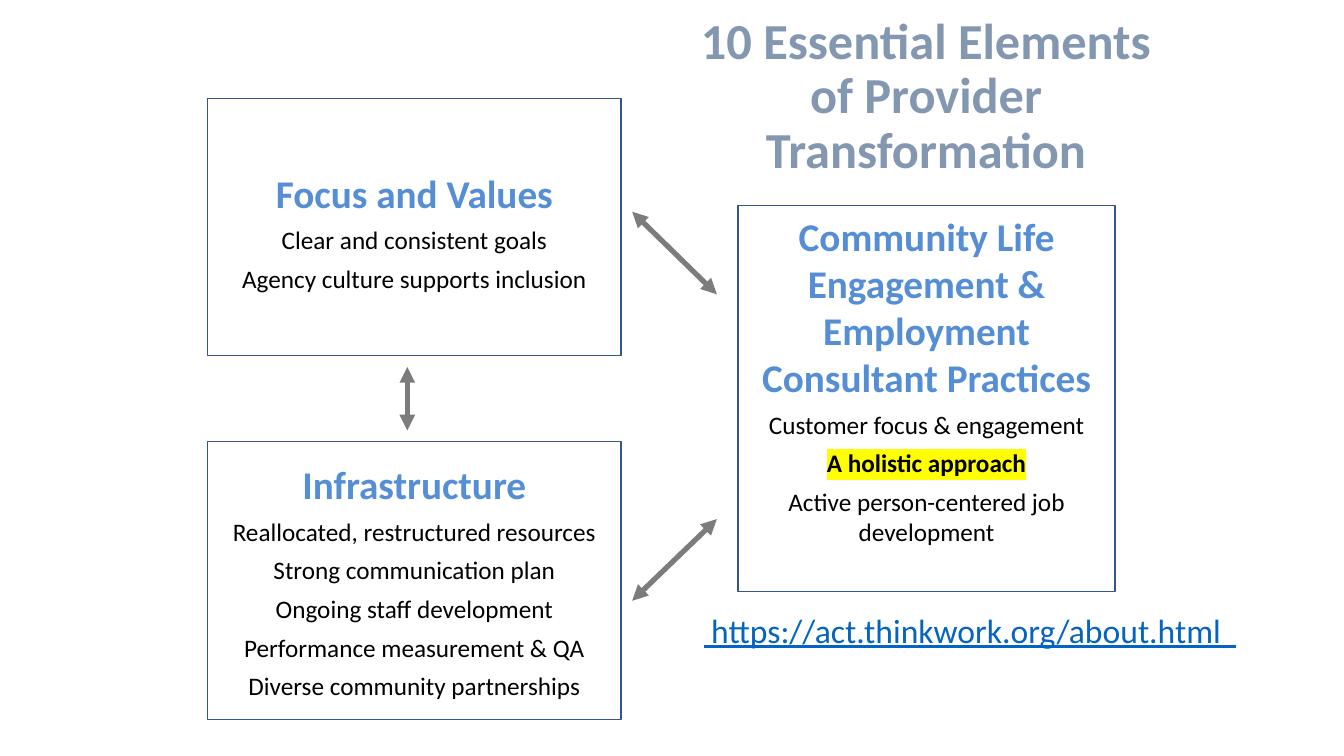
from lxml.etree import SubElement
from pptx import Presentation
from pptx.dml.color import RGBColor
from pptx.enum.shapes import MSO_CONNECTOR, MSO_SHAPE
from pptx.enum.text import MSO_ANCHOR, MSO_AUTO_SIZE, PP_ALIGN
from pptx.oxml import parse_xml
from pptx.oxml.ns import nsdecls, qn
from pptx.util import Inches, Pt

# Content
TITLE = "10 Essential Elements\vof Provider Transformation"
LINK = " https://act.thinkwork.org/about.html  "
HIGHLIGHTED = "A holistic approach"
BOXES = [
    {"at": (2.06, 0.98, 4.1, 2.55), "before": 6, "after": 0, "insets": (0.13, 0.05),
     "heading": "Focus and Values",
     "items": ["Clear and consistent goals", "Agency culture supports inclusion"]},
    {"at": (2.06, 4.38, 4.1, 2.76), "before": 0, "after": 6, "insets": (0.05, 0.05),
     "heading": "Infrastructure",
     "items": ["Reallocated, restructured resources", "Strong communication plan",
               "Ongoing staff development", "Performance measurement & QA",
               "Diverse community partnerships"]},
    {"at": (7.32, 2.04, 3.74, 3.83), "before": 0, "after": 6, "insets": (0.05, 0.43),
     "heading": "Community Life Engagement & Employment Consultant Practices",
     "items": ["Customer focus & engagement", HIGHLIGHTED,
               "Active person-centered job development"]},
]
ARROWS = [(6.27, 2.1, 7.11, 2.92), (7.11, 5.15, 6.27, 5.96), (4.04, 3.64, 4.04, 4.27)]


def color(value):
    return RGBColor.from_string(value)


def write(paragraph, text, size=18, fill="000000", bold=False, underline=False,
          highlight=None, align=PP_ALIGN.CENTER, before=0, after=0, spacing=None):
    paragraph.text = text
    paragraph.alignment = align
    paragraph.space_before, paragraph.space_after = Pt(before), Pt(after)
    if spacing:
        paragraph.line_spacing = spacing
    for run in paragraph.runs:
        font = run.font
        font.name, font.size = "Calibri", Pt(size)
        font.bold, font.underline = bold, underline
        font.color.rgb = color(fill)
        if highlight:
            solid_fill = run._r.get_or_add_rPr().find(qn("a:solidFill"))
            solid_fill.addnext(parse_xml(
                f'<a:highlight {nsdecls("a")}><a:srgbClr val="{highlight}"/></a:highlight>'))


def place(shape, at):
    shape.left, shape.top, shape.width, shape.height = map(Inches, at)


presentation = Presentation()
presentation.slide_width, presentation.slide_height = Inches(13.33), Inches(7.5)
slide = presentation.slides.add_slide(presentation.slide_layouts[5])

# Title
title = slide.shapes.title
place(title, (6.57, 0.38, 5.23, 1.17))
title.text_frame.auto_size = MSO_AUTO_SIZE.NONE
title.text_frame.vertical_anchor = MSO_ANCHOR.MIDDLE
write(title.text_frame.paragraphs[0], TITLE, size=36, fill="8497B0", bold=True, spacing=0.9)

# Boxes of elements
for box in BOXES:
    shape = slide.shapes.add_shape(MSO_SHAPE.RECTANGLE, *map(Inches, box["at"]))
    shape.shadow.inherit = False
    shape.fill.background()
    shape.line.color.rgb = color("325491")
    shape.line.width = Pt(1)
    frame = shape.text_frame
    frame.word_wrap = True
    frame.vertical_anchor = MSO_ANCHOR.MIDDLE
    frame.margin_top, frame.margin_bottom = map(Inches, box["insets"])
    write(frame.paragraphs[0], box["heading"], size=28, fill="558ED5", bold=True,
          after=box["after"])
    for item in box["items"]:
        marked = item == HIGHLIGHTED
        write(frame.add_paragraph(), item, bold=marked,
              highlight="FFFF00" if marked else None,
              before=box["before"], after=box["after"])

# Double-headed arrows between the boxes
for ends in ARROWS:
    arrow = slide.shapes.add_connector(MSO_CONNECTOR.STRAIGHT, *map(Inches, ends))
    arrow.line.color.rgb = color("7C7C7C")
    arrow.line.width = Pt(3.75)
    line = arrow.line._get_or_add_ln()
    for end in ("a:headEnd", "a:tailEnd"):
        SubElement(line, qn(end), type="triangle")
    SubElement(arrow._element.spPr, qn("a:effectLst"))

# Web address
address = slide.shapes.add_textbox(*map(Inches, (6.88, 6, 6.31, 0.5)))
address.text_frame.word_wrap = True
write(address.text_frame.paragraphs[0], LINK, size=24, fill="0563C1", underline=True,
      align=PP_ALIGN.LEFT)

presentation.save("out.pptx")
